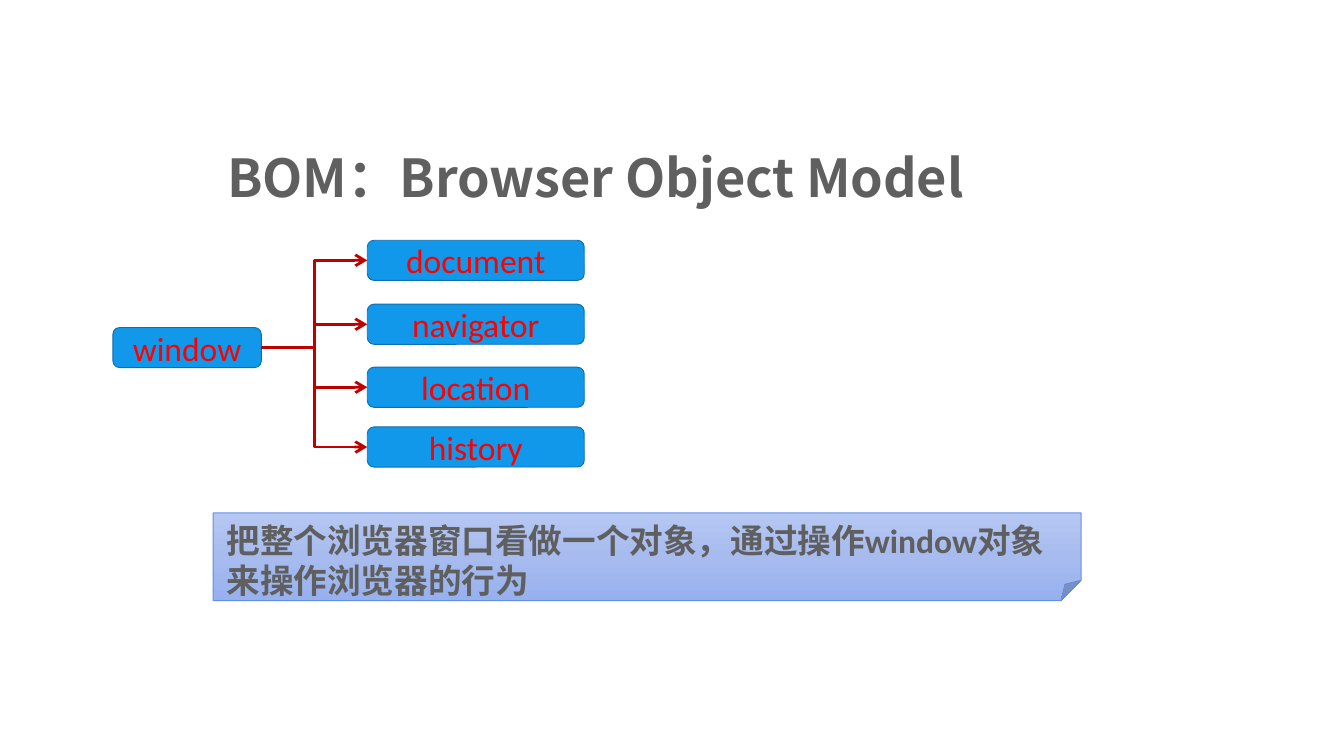
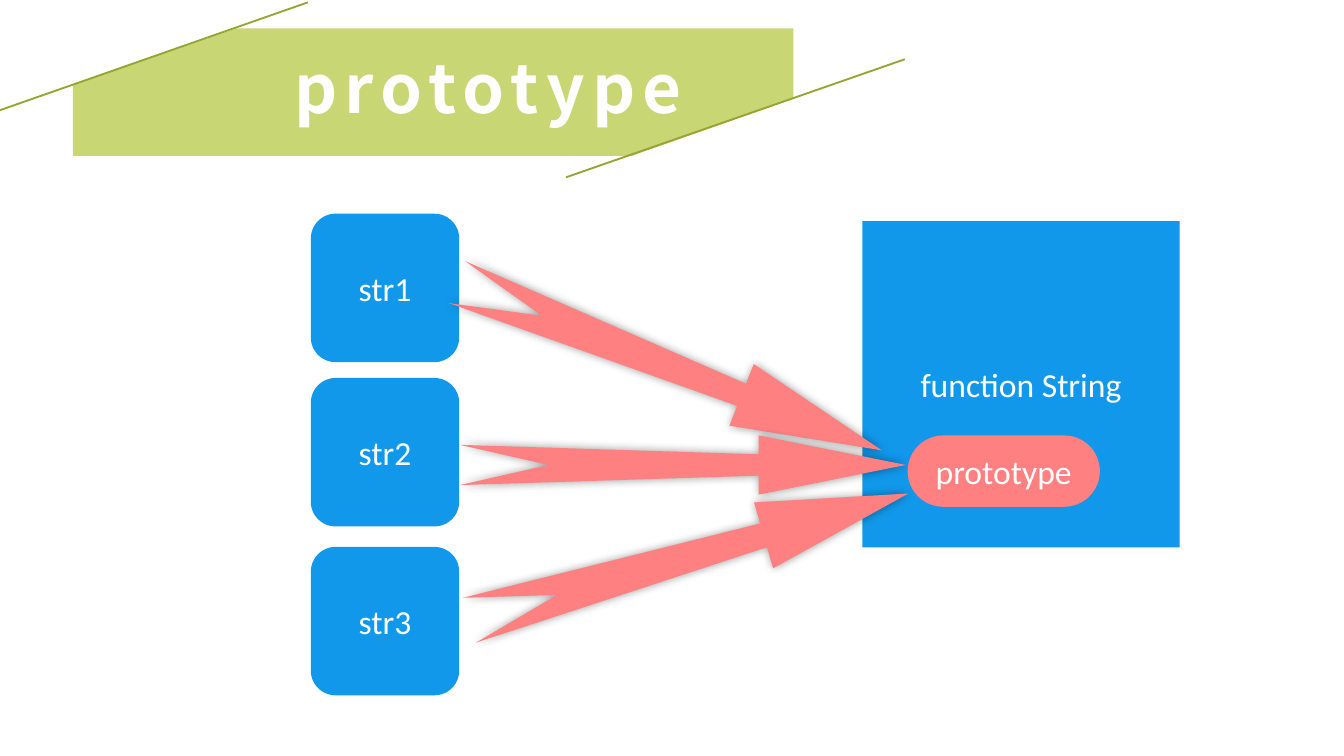
from copy import deepcopy
from dataclasses import dataclass
from typing import Any

from lxml import etree
from pptx import Presentation
from pptx.dml.color import RGBColor
from pptx.enum.shapes import MSO_CONNECTOR, MSO_SHAPE
from pptx.enum.text import MSO_ANCHOR, MSO_AUTO_SIZE, PP_ALIGN
from pptx.oxml.ns import qn
from pptx.util import Pt

ROUND = MSO_SHAPE.ROUNDED_RECTANGLE
RECT = MSO_SHAPE.RECTANGLE
FOLD = MSO_SHAPE.FOLDED_CORNER
ELBOW = MSO_CONNECTOR.ELBOW
LINE = MSO_CONNECTOR.STRAIGHT
TOP = MSO_ANCHOR.TOP
MIDDLE = MSO_ANCHOR.MIDDLE
LEFT = PP_ALIGN.LEFT
CENTER = PP_ALIGN.CENTER
NO_FIT = MSO_AUTO_SIZE.NONE
GROW = MSO_AUTO_SIZE.SHAPE_TO_FIT_TEXT
LEFT_SITE, RIGHT_SITE = 1, 3


@dataclass(frozen=True)
class Theme:
    blue: str = "1198EB"
    edge: str = "0D70AE"
    red: str = "FF0000"
    link: str = "C00000"
    gray: str = "5F5F5F"
    white: str = "FFFFFF"
    coral: str = "FF8080"
    lime: str = "C8D673"
    olive: str = "94A531"
    shade: str = "000000"
    rim: str = "628EE3"
    fade: tuple[str, ...] = ("B5C7F2", "A7BBEE", "97B1EF")
    body: str = "Calibri"
    head: str = "Noto Sans CJK SC"
    text: float = 18
    topic: float = 28
    banner: float = 36


THEME = Theme()


@dataclass(frozen=True)
class Area:
    left: float
    top: float
    width: float
    height: float

    def emu(self) -> list[Pt]:
        return [Pt(v) for v in (self.left, self.top, self.width, self.height)]


@dataclass(frozen=True)
class Style:
    size: float = THEME.text
    color: str = THEME.white
    font: str = THEME.body
    bold: bool = False
    track: float = 0
    align: Any = CENTER
    anchor: Any = MIDDLE


@dataclass(frozen=True)
class Box:
    text: str
    area: Area
    kind: Any = ROUND
    fill: str = THEME.blue
    edge: str = ""
    style: Style = Style()
    bend: float | None = None


@dataclass(frozen=True)
class Dart:
    area: Area
    turn: float = 0


NODE = Style(color=THEME.red)
NOTE = Style(color=THEME.gray, bold=True, align=LEFT, anchor=TOP)
TOPIC = Style(THEME.topic, THEME.gray, THEME.head, True, 0, LEFT, TOP)
BANNER = Style(THEME.banner, THEME.white, THEME.head, True, 4, LEFT, TOP)

ROOT = Box("window", Area(60.5, 175.5, 79.5, 21.5), edge=THEME.edge, style=NODE)
LEAVES = [
    Box(name, Area(196.75, top, 116.25, 21.5), edge=THEME.edge, style=NODE)
    for name, top in (
        ("document", 128.75),
        ("navigator", 163),
        ("location", 196.75),
        ("history", 228.75),
    )
]
MEMO = Box(
    "把整个浏览器窗口看做一个对象，通过操作window对象来操作浏览器的行为",
    Area(114.25, 274.75, 465, 47),
    FOLD,
    edge=THEME.rim,
    style=NOTE,
    bend=0.23,
)

STRINGS = [
    Box(f"str{num}", Area(166.5, top, 79.5, 79.5))
    for num, top in enumerate((114.5, 202.5, 293), 1)
]
OWNER = Box("function String", Area(462, 118.5, 170, 174.75), RECT)
PROTO = Box("prototype", Area(486.25, 233.25, 103, 38.25), fill=THEME.coral, bend=0.5)
DARTS = [
    Dart(Area(236.25, 178.5, 244.75, 35.5), 21.6),
    Dart(Area(246.75, 280, 244.75, 36.75), -16.1),
    Dart(Area(246.25, 233.25, 239, 31.75)),
]
DART = [
    (0.67, 0), (1, 0.5), (0.67, 1), (0.67, 0.68),
    (0, 0.84), (0.2, 0.5), (0, 0.16), (0.67, 0.32),
]
BAND = [
    (126.75, 15.25), (425, 15.25), (425, 53), (338.5, 83.5), (39, 83.5), (39, 45.5),
]
RULES = [(165, 1.25, -2.75, 60), (484.75, 31.75, 303.25, 95)]


def rgb(code: str) -> RGBColor:
    return RGBColor.from_string(code)


def apply(item: Any, values: dict[str, Any]) -> None:
    for key, value in values.items():
        setattr(item, key, value)


def paint(shape: Any, fill: str, edge: str = "") -> None:
    shape.shadow.inherit = False
    shape.fill.solid()
    shape.fill.fore_color.rgb = rgb(fill)
    if edge:
        shape.line.color.rgb = rgb(edge)
        shape.line.width = Pt(0.5)
    else:
        shape.line.fill.background()


def write(frame: Any, text: str, style: Style) -> None:
    frame.vertical_anchor = style.anchor
    para = frame.paragraphs[0]
    para.alignment = style.align
    run = para.add_run()
    run.text = text
    apply(run.font, {"size": Pt(style.size), "bold": style.bold, "name": style.font})
    run.font.color.rgb = rgb(style.color)
    props = run._r.get_or_add_rPr()
    etree.SubElement(props, qn("a:ea"), typeface=THEME.head)
    if style.track:
        props.set("spc", str(round(style.track * 100)))


def bend(shape: Any, ratio: float) -> None:
    guides = shape._element.spPr.find(qn("a:prstGeom")).find(qn("a:avLst"))
    guides.clear()
    etree.SubElement(guides, qn("a:gd"), name="adj", fmla=f"val {round(ratio * 100000)}")


def add_box(slide: Any, box: Box) -> Any:
    shape = slide.shapes.add_shape(box.kind, *box.area.emu())
    paint(shape, box.fill, box.edge)
    if box.bend is not None:
        bend(shape, box.bend)
    write(shape.text_frame, box.text, box.style)
    return shape


def add_title(slide: Any, text: str, area: Area, style: Style, fit: Any, space: float) -> None:
    title = slide.shapes.title
    slide.shapes._spTree.append(title._element)
    apply(title, dict(zip(("left", "top", "width", "height"), area.emu())))
    frame = title.text_frame
    apply(frame, {
        "word_wrap": False,
        "auto_size": fit,
        "margin_left": Pt(7.2),
        "margin_right": Pt(7.2),
        "margin_top": Pt(3.6),
        "margin_bottom": Pt(3.6),
    })
    frame.paragraphs[0].line_spacing = space
    write(frame, text, style)


def add_line(slide: Any, kind: Any, ends: tuple[float, ...], color: str, width: float) -> Any:
    line = slide.shapes.add_connector(kind, *[Pt(v) for v in ends])
    line.line.color.rgb = rgb(color)
    line.line.width = Pt(width)
    etree.SubElement(line._element.spPr, qn("a:effectLst"))
    return line


def add_link(slide: Any, start: Any, end: Any) -> None:
    link = add_line(slide, ELBOW, (0, 0, 0, 0), THEME.link, 1.5)
    link.begin_connect(start, RIGHT_SITE)
    link.end_connect(end, LEFT_SITE)
    etree.SubElement(link._element.spPr.find(qn("a:ln")), qn("a:tailEnd"), type="arrow")


def add_path(slide: Any, points: list[tuple[float, float]], fill: str) -> Any:
    spots = [(Pt(x), Pt(y)) for x, y in points]
    pen = slide.shapes.build_freeform(*spots[0])
    pen.add_line_segments(spots[1:], close=True)
    shape = pen.convert_to_shape()
    paint(shape, fill)
    return shape


def add_dart(slide: Any, dart: Dart) -> None:
    area = dart.area
    points = [(area.left + x * area.width, area.top + y * area.height) for x, y in DART]
    shape = add_path(slide, points, THEME.coral)
    shape.rotation = dart.turn
    glow = etree.SubElement(
        shape._element.spPr.find(qn("a:effectLst")),
        qn("a:outerShdw"), blurRad=str(Pt(5)), dist="0", dir="0",
    )
    color = etree.SubElement(glow, qn("a:srgbClr"), val=THEME.shade)
    etree.SubElement(color, qn("a:alpha"), val="40000")


def fade(shape: Any, colors: tuple[str, ...]) -> None:
    shape.fill.gradient()
    shape.fill.gradient_angle = 270
    stops = shape._element.spPr.find(qn("a:gradFill")).find(qn("a:gsLst"))
    stops.insert(1, deepcopy(stops[0]))
    for place, (stop, color) in enumerate(zip(shape.fill.gradient_stops, colors)):
        stop.position = place / (len(colors) - 1)
        stop.color.rgb = rgb(color)


def draw_bom(slide: Any) -> None:
    add_title(slide, "BOM：Browser Object Model", Area(114.5, 57.5, 432, 58.25), TOPIC, GROW, 1.5)
    root = add_box(slide, ROOT)
    for leaf in LEAVES:
        add_link(slide, root, add_box(slide, leaf))
    fade(add_box(slide, MEMO), THEME.fade)


def draw_proto(slide: Any) -> None:
    add_path(slide, BAND, THEME.lime)
    for ends in RULES:
        add_line(slide, LINE, ends, THEME.olive, 1)
    add_title(slide, "prototype", Area(150.5, 21, 255, 45.5), BANNER, NO_FIT, 1.0)
    for box in (*STRINGS, OWNER, PROTO):
        add_box(slide, box)
    for dart in DARTS:
        add_dart(slide, dart)


def main() -> None:
    deck = Presentation()
    apply(deck, {"slide_width": Pt(720), "slide_height": Pt(405)})
    for draw in (draw_bom, draw_proto):
        draw(deck.slides.add_slide(deck.slide_layouts[5]))
    deck.save("out.pptx")


if __name__ == "__main__":
    main()
